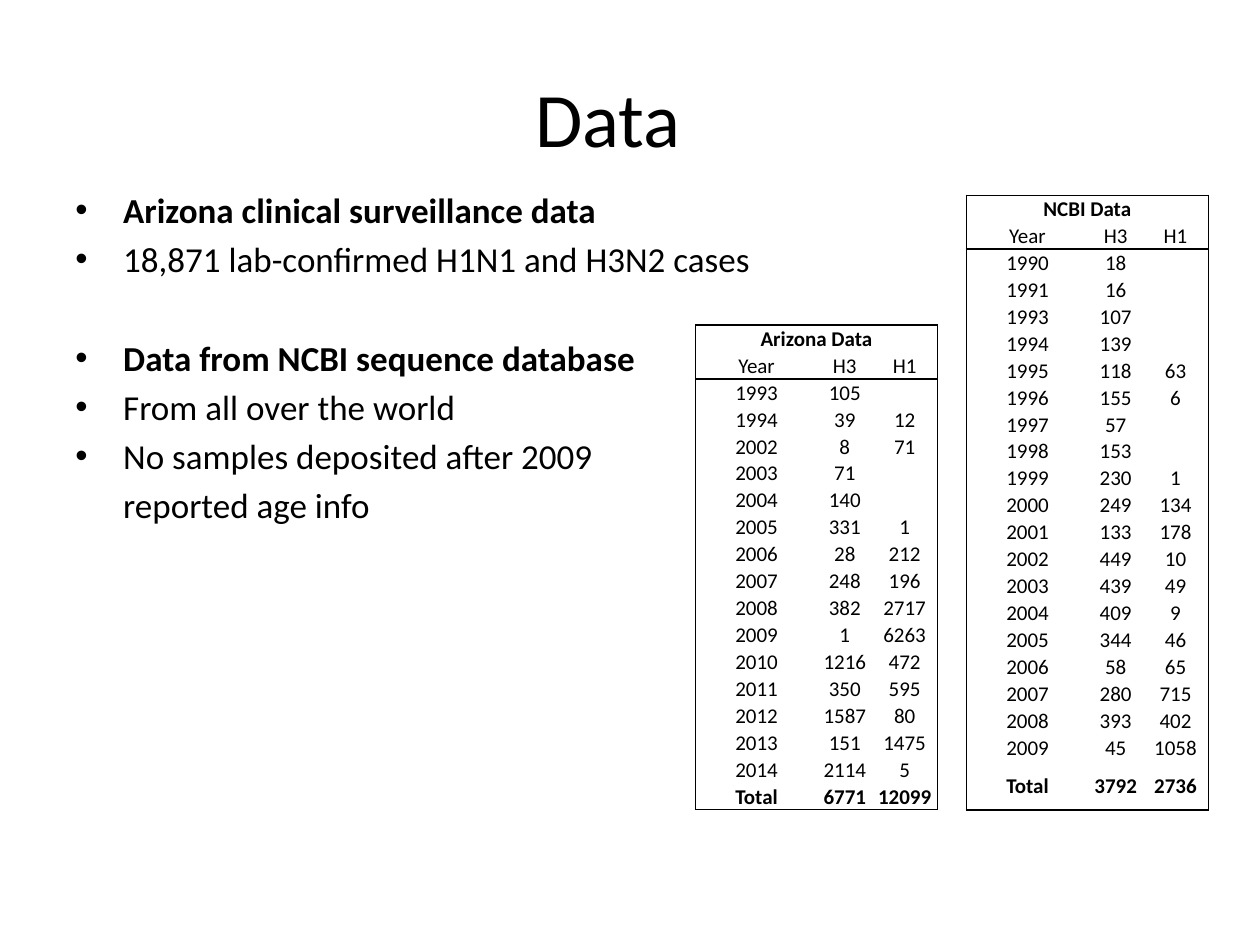
from lxml import etree
from pptx import Presentation
from pptx.dml.color import RGBColor
from pptx.enum.text import MSO_ANCHOR, PP_ALIGN
from pptx.oxml.ns import qn
from pptx.util import Inches, Pt

CENTER = PP_ALIGN.CENTER
LEFT = PP_ALIGN.LEFT
MIDDLE = MSO_ANCHOR.MIDDLE
TOP = MSO_ANCHOR.TOP

BULLET_INDENT = 0.38
COLUMN_WIDTHS = (0.97, 0.43, 0.52)
HEADINGS = ("Year", "H3", "H1")

BODY_LINES = [
    ("Arizona clinical surveillance data", True, True, 4),
    ("18,871 lab-confirmed H1N1 and H3N2 cases", False, True, 4),
    ("Data from NCBI sequence database", True, True, 32.4),
    ("From all over the world", False, True, 4),
    ("No samples deposited after 2009", False, True, 4),
    ("reported age info", False, False, 4),
]

ARIZONA_ROWS = [
    (1993, 105, ""), (1994, 39, 12), (2002, 8, 71), (2003, 71, ""),
    (2004, 140, ""), (2005, 331, 1), (2006, 28, 212), (2007, 248, 196),
    (2008, 382, 2717), (2009, 1, 6263), (2010, 1216, 472), (2011, 350, 595),
    (2012, 1587, 80), (2013, 151, 1475), (2014, 2114, 5),
    ("Total", 6771, 12099),
]

NCBI_ROWS = [
    (1990, 18, ""), (1991, 16, ""), (1993, 107, ""), (1994, 139, ""),
    (1995, 118, 63), (1996, 155, 6), (1997, 57, ""), (1998, 153, ""),
    (1999, 230, 1), (2000, 249, 134), (2001, 133, 178), (2002, 449, 10),
    (2003, 439, 49), (2004, 409, 9), (2005, 344, 46), (2006, 58, 65),
    (2007, 280, 715), (2008, 393, 402), (2009, 45, 1058),
    ("Total", 3792, 2736),
]


def color(hex_string):
    return RGBColor.from_string(hex_string)


class SlideBuilder:
    font_name = "Calibri"
    ink = "000000"

    def __init__(self, slide):
        self.slide = slide

    def format_paragraph(self, paragraph, size, bold=False, alignment=LEFT):
        paragraph.alignment = alignment
        for run in paragraph.runs:
            run.font.name = self.font_name
            run.font.size = Pt(size)
            run.font.bold = bold
            run.font.color.rgb = color(self.ink)
        if not paragraph.runs:
            etree.SubElement(paragraph._p, qn("a:endParaRPr"), sz=str(size * 100))

    def text_frame(self, left, top, width, height, anchor):
        shape = self.slide.shapes.add_textbox(
            Inches(left), Inches(top), Inches(width), Inches(height))
        shape.text_frame.word_wrap = True
        shape.text_frame.vertical_anchor = anchor
        return shape.text_frame

    def title(self, text, left, top, width, height):
        frame = self.text_frame(left, top, width, height, MIDDLE)
        frame.margin_right = Inches(0.45)
        frame.text = text
        self.format_paragraph(frame.paragraphs[0], 44, alignment=CENTER)

    def bullets(self, lines, left, top, width, height):
        frame = self.text_frame(left, top, width, height, TOP)
        frame.text = "\n".join(line[0] for line in lines)
        for paragraph, line in zip(frame.paragraphs, lines):
            text, bold, bulleted, space_before = line
            self.format_paragraph(paragraph, 20, bold)
            paragraph.space_before = Pt(space_before)
            properties = paragraph._p.get_or_add_pPr()
            properties.set("marL", str(Inches(BULLET_INDENT)))
            if bulleted:
                properties.set("indent", str(-Inches(BULLET_INDENT)))
                etree.SubElement(properties, qn("a:buFont"), typeface="Arial")
                etree.SubElement(properties, qn("a:buChar"), char="•")

    def cell_borders(self, cell, edges):
        properties = cell._tc.get_or_add_tcPr()
        for position, edge in enumerate("LRTB"):
            line = etree.Element(qn(f"a:ln{edge}"), w=str(Pt(1)))
            if edge in edges:
                fill = etree.SubElement(line, qn("a:solidFill"))
                etree.SubElement(fill, qn("a:srgbClr"), val=self.ink)
            else:
                etree.SubElement(line, qn("a:noFill"))
            properties.insert(position, line)

    def table(self, heading, data, left, top, height, total_height):
        rows = [(heading, "", ""), HEADINGS, *data]
        last_row, last_column = len(rows) - 1, len(HEADINGS) - 1
        table = self.slide.shapes.add_table(
            len(rows), len(HEADINGS), Inches(left), Inches(top),
            Inches(sum(COLUMN_WIDTHS)), Inches(height)).table
        table.first_row = False
        table.horz_banding = False
        for column, width in zip(table.columns, COLUMN_WIDTHS):
            column.width = Inches(width)
        for row in table.rows:
            row.height = Inches((height - total_height) / last_row)
        table.rows[last_row].height = Inches(total_height)
        table.cell(0, 0).merge(table.cell(0, last_column))
        for row, values in enumerate(rows):
            for column, value in enumerate(values):
                cell = table.cell(row, column)
                cell.text = str(value)
                cell.vertical_anchor = MIDDLE
                cell.margin_left = cell.margin_right = cell.margin_top = Inches(0.01)
                cell.margin_bottom = 0
                cell.fill.background()
                self.format_paragraph(
                    cell.text_frame.paragraphs[0], 12, row in (0, last_row), CENTER)
                edges = {
                    "L": column == 0,
                    "R": column == last_column or row == 0,
                    "T": row in (0, 2),
                    "B": row in (1, last_row),
                }
                self.cell_borders(cell, [edge for edge in edges if edges[edge]])


def main():
    presentation = Presentation()
    presentation.slide_width = Inches(10)
    presentation.slide_height = Inches(7.5)
    slide = presentation.slides.add_slide(presentation.slide_layouts[6])
    builder = SlideBuilder(slide)
    builder.title("Data", 0.5, 0.3, 9, 1.25)
    builder.bullets(BODY_LINES, 0.5, 1.45, 9, 4.95)
    builder.table("Arizona Data", ARIZONA_ROWS, 5.52, 2.58, 3.85, 0.21)
    builder.table("NCBI Data", NCBI_ROWS, 7.67, 1.55, 4.88, 0.39)
    presentation.save("out.pptx")


if __name__ == "__main__":
    main()
